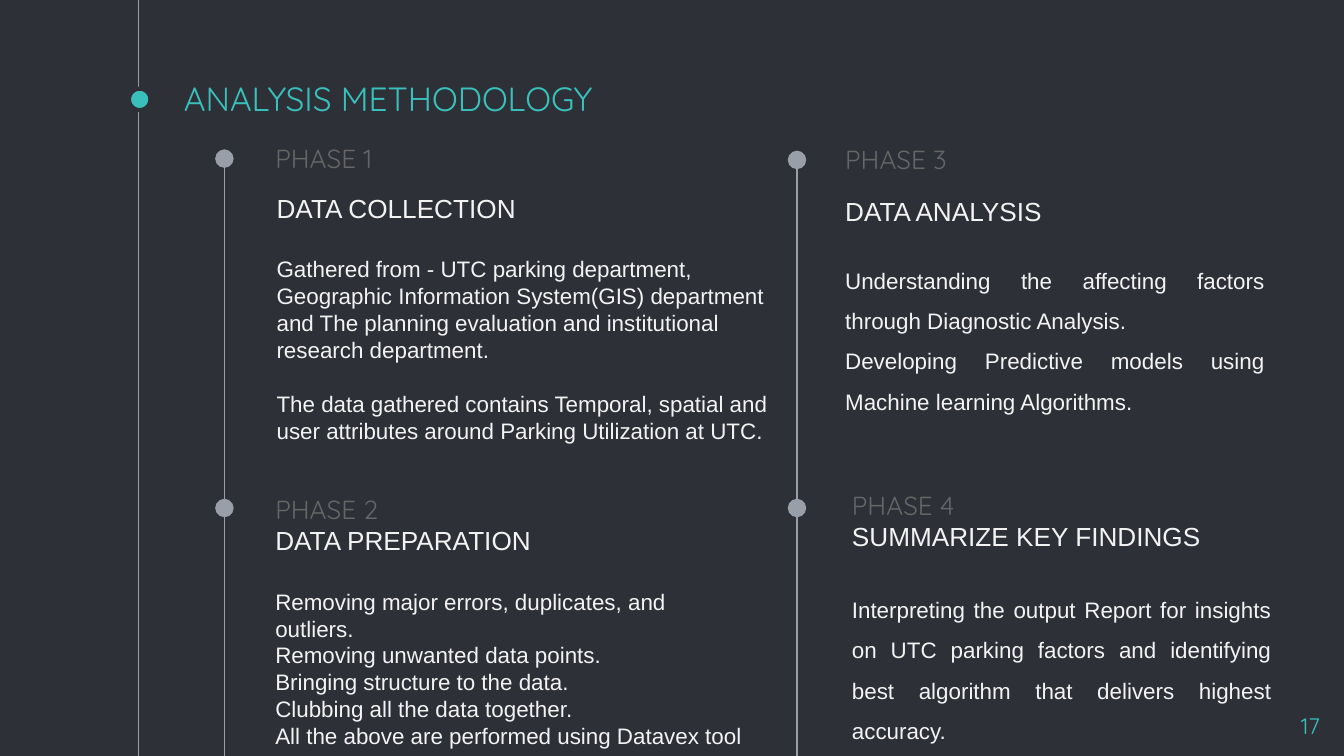
"""Build the analysis methodology slide with its four-phase timeline."""
from lxml.etree import SubElement
from pptx import Presentation
from pptx.dml.color import RGBColor
from pptx.enum.shapes import MSO_CONNECTOR as Line, MSO_SHAPE as Shape
from pptx.enum.text import MSO_ANCHOR as Anchor, PP_ALIGN as Align
from pptx.oxml.ns import qn
from pptx.util import Inches, Pt

DARK = RGBColor(0x2E, 0x30, 0x37)
TEAL = RGBColor(0x39, 0xC0, 0xBA)
GREY = RGBColor(0x99, 0x9F, 0xA9)
DIM = RGBColor(0x66, 0x66, 0x66)
LIGHT = RGBColor(0xF3, 0xF3, 0xF3)
DISPLAY, BODY = "Quicksand", "Arial"
WIDTH = 10
HEIGHT = WIDTH * 9 / 16


def write(paragraph, text, size=12, font=BODY, color=LIGHT, align=Align.LEFT,
          before=0, spacing=None):
    """Fill a paragraph with formatted text."""
    paragraph.alignment = align
    paragraph.space_before = Pt(before)
    if spacing:
        paragraph.line_spacing = spacing
    run = paragraph.add_run()
    run.text = text
    run.font.size = Pt(size)
    run.font.name = font
    run.font.color.rgb = color


class TimelineSlide:
    """Hold the slide and draw its elements in one style."""

    def __init__(self, slide):
        self.slide = slide
        slide.background.fill.solid()
        slide.background.fill.fore_color.rgb = DARK

    def line(self, x, start, end, dotted=False):
        """Draw a vertical line, with a dot at its end if asked."""
        connector = self.slide.shapes.add_connector(
            Line.STRAIGHT, Inches(x), Inches(start), Inches(x), Inches(end))
        connector.line.color.rgb = GREY
        connector.line.width = Pt(0.75)
        if dotted:
            SubElement(connector.line._get_or_add_ln(), qn("a:tailEnd"),
                       type="oval", w="lg", len="lg")
        SubElement(connector._element.spPr, qn("a:effectLst"))

    def marker(self, left, top, size):
        """Draw the round title marker."""
        dot = self.slide.shapes.add_shape(
            Shape.OVAL, Inches(left), Inches(top), Inches(size), Inches(size))
        dot.shadow.inherit = False
        dot.fill.solid()
        dot.fill.fore_color.rgb = TEAL
        dot.line.color.rgb = DARK
        dot.line.width = Pt(2.25)

    def text(self, box, paragraphs, anchor=Anchor.TOP, inset=0.1):
        """Add a text box from pairs of text and format."""
        frame = self.slide.shapes.add_textbox(*map(Inches, box)).text_frame
        frame.word_wrap = True
        frame.vertical_anchor = anchor
        frame.margin_left = frame.margin_right = Inches(0.1)
        frame.margin_top = frame.margin_bottom = Inches(inset)
        for index, (words, style) in enumerate(paragraphs):
            paragraph = frame.add_paragraph() if index else frame.paragraphs[0]
            write(paragraph, words, **style)


def main():
    """Compose and save the slide."""
    deck = Presentation()
    deck.slide_width, deck.slide_height = Inches(WIDTH), Inches(HEIGHT)
    page = TimelineSlide(deck.slides.add_slide(deck.slide_layouts[6]))

    page.line(1.03, 0, HEIGHT)
    page.marker(0.96, 0.66, 0.16)
    for x, top in ((1.67, 1.18), (5.93, 1.19)):
        page.line(x, HEIGHT, 3.78, dotted=True)
        page.line(x, 3.78, top, dotted=True)

    phase = dict(size=14, font=DISPLAY, color=DIM)
    heading = dict(size=14)
    body = {}
    opening = dict(before=17)
    loose = dict(align=Align.JUSTIFY, spacing=1.5)

    page.text((1.27, 0.6, 5.97, 0.38),
              [("ANALYSIS METHODOLOGY", dict(size=18, font=DISPLAY, color=TEAL))],
              anchor=Anchor.BOTTOM)
    page.text((1.95, 0.96, 3.05, 0.37), [("PHASE 1", phase)])
    page.text((1.96, 1.33, 3.86, 1.89), [
        ("DATA COLLECTION", heading),
        ("Gathered from - UTC parking department, Geographic Information "
         "System(GIS) department and The planning evaluation and institutional "
         "research department.", opening),
        ("The data gathered contains Temporal, spatial and user attributes "
         "around Parking Utilization at UTC.", dict(before=14.7)),
    ])
    page.text((1.95, 3.57, 3.73, 1.85), [
        ("PHASE 2", phase),
        ("DATA PREPARATION", heading),
        ("Removing major errors, duplicates, and outliers.", opening),
        ("Removing unwanted data points.", body),
        ("Bringing structure to the data.", body),
        ("Clubbing all the data together.", body),
        ("All the above are performed using Datavex tool", body),
    ])
    page.text((6.19, 1.02, 5, 0.34), [("PHASE 3", phase)], inset=0.05)
    page.text((6.19, 1.35, 3.32, 1.91), [
        ("DATA ANALYSIS", heading),
        ("Understanding the affecting factors through Diagnostic Analysis.",
         dict(loose, before=14.5)),
        ("Developing Predictive models using Machine learning Algorithms.", loose),
    ])
    page.text((6.24, 3.54, 3.32, 1.84), [
        ("PHASE 4", phase),
        ("SUMMARIZE KEY FINDINGS", heading),
        ("Interpreting the output Report for insights on UTC parking factors and "
         "identifying best algorithm that delivers highest accuracy.",
         dict(loose, before=16.5)),
    ])
    page.text((9.32, 5.2, 0.6, 0.34),
              [("17", dict(font=DISPLAY, color=TEAL, align=Align.RIGHT))])

    deck.save("out.pptx")


if __name__ == "__main__":
    main()
